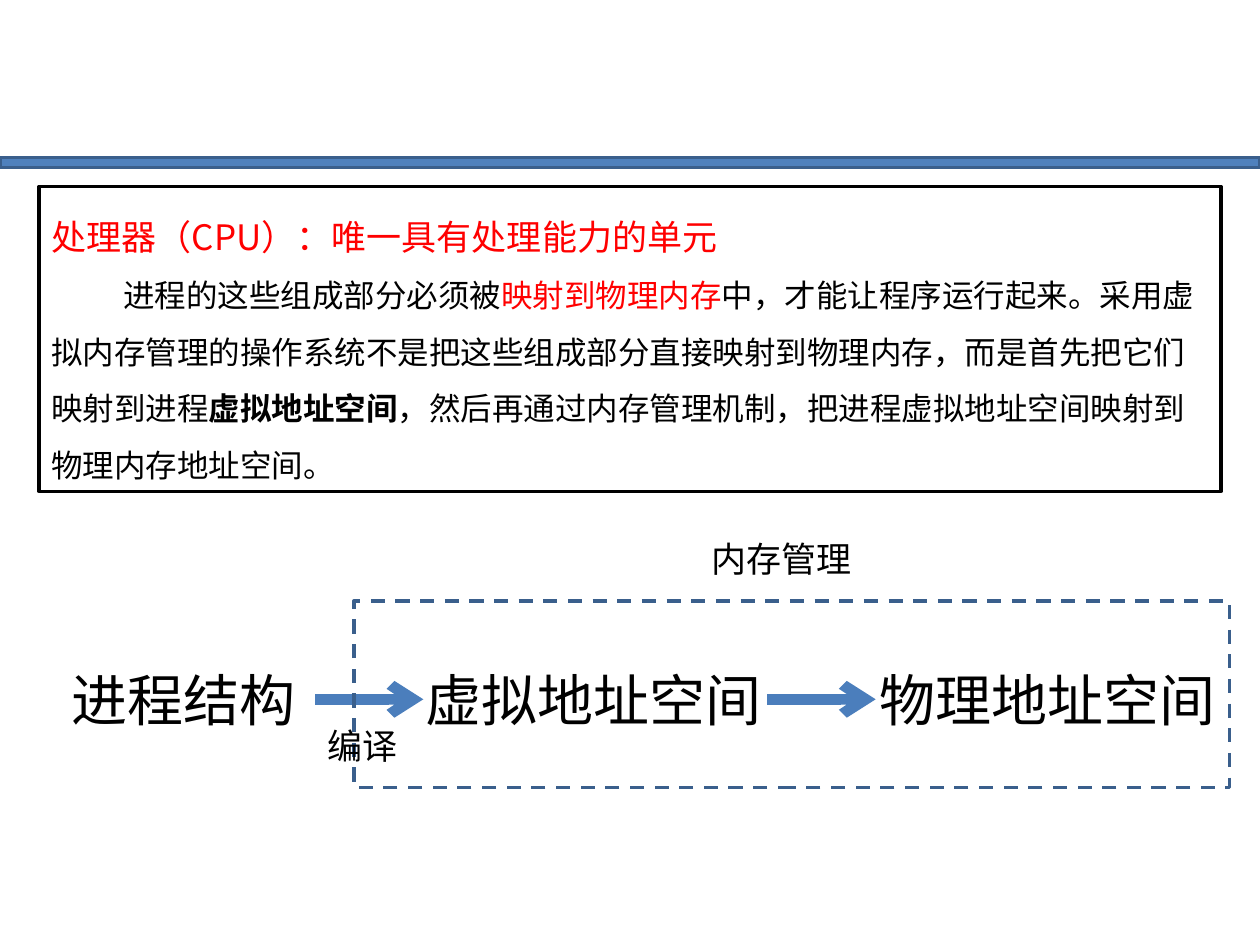
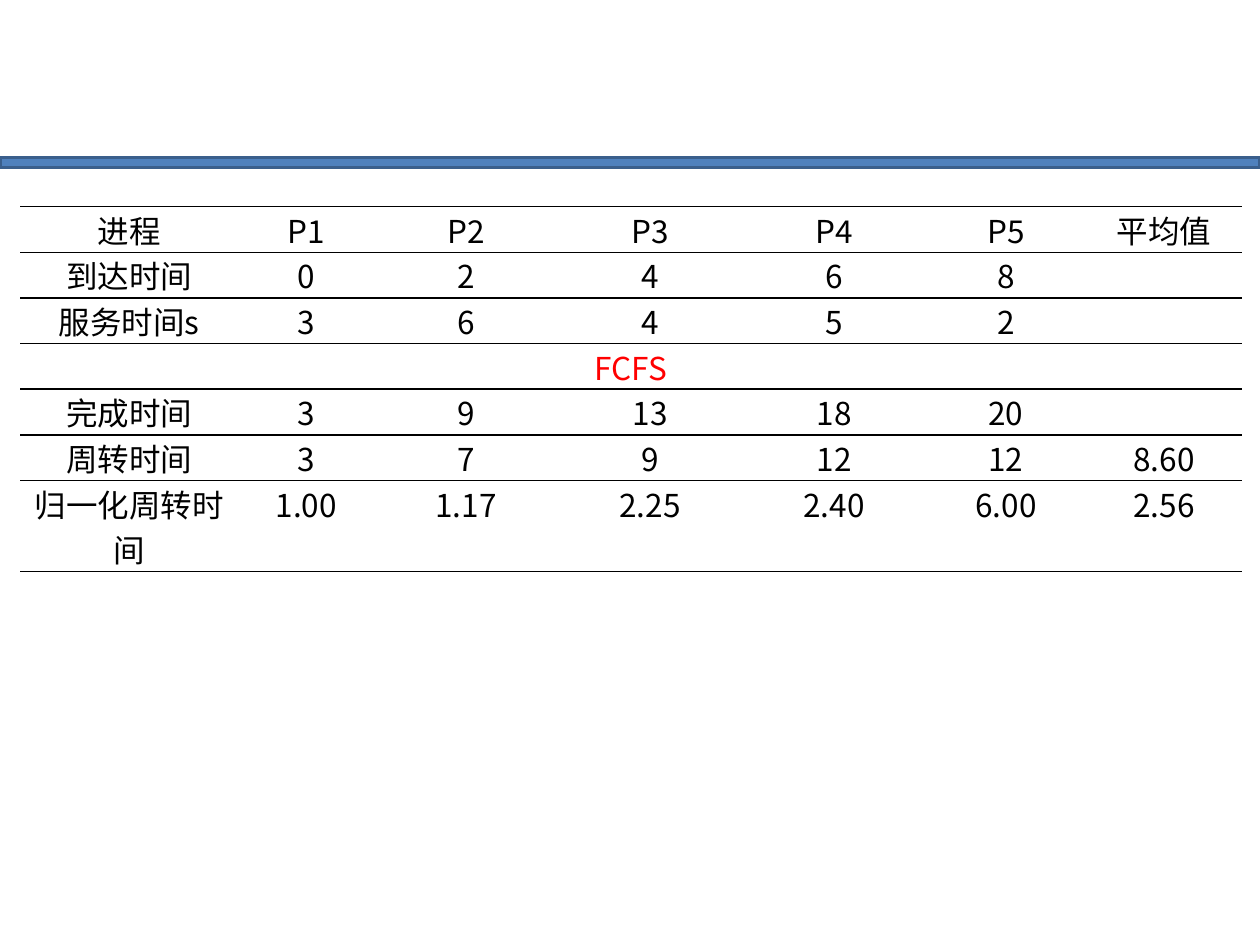
from typing import NamedTuple

from pptx import Presentation
from pptx.dml.color import RGBColor
from pptx.enum.dml import MSO_LINE
from pptx.enum.shapes import MSO_CONNECTOR, MSO_SHAPE
from pptx.enum.text import MSO_ANCHOR, MSO_AUTO_SIZE, PP_ALIGN
from pptx.oxml.xmlchemy import OxmlElement
from pptx.shapes.autoshape import Shape
from pptx.slide import Slide
from pptx.table import _Cell
from pptx.text.text import _Paragraph
from pptx.util import Inches, Pt

BLUE = RGBColor(0x4F, 0x81, 0xBD)
DARK_BLUE = RGBColor(0x3A, 0x5F, 0x8C)
ARROW_BLUE = RGBColor(0x4B, 0x7E, 0xBC)
RED = RGBColor(0xFF, 0x00, 0x00)
BLACK = RGBColor(0x00, 0x00, 0x00)
WHITE = RGBColor(0xFF, 0xFF, 0xFF)
FONT = "Noto Sans CJK SC"

RECTANGLE = MSO_SHAPE.RECTANGLE
STRAIGHT = MSO_CONNECTOR.STRAIGHT
DASH = MSO_LINE.DASH
MIDDLE = MSO_ANCHOR.MIDDLE
GROW = MSO_AUTO_SIZE.SHAPE_TO_FIT_TEXT
LEFT = PP_ALIGN.LEFT
CENTER = PP_ALIGN.CENTER
BLANK_LAYOUT = 6


class Area(NamedTuple):
    left: float
    top: float
    width: float
    height: float


class Label(NamedTuple):
    text: str
    area: Area
    size: int


class Span(NamedTuple):
    text: str
    color: RGBColor = BLACK
    bold: bool = False


class Arrow(NamedTuple):
    start: float
    end: float
    top: float


LABELS = [
    Label("进程结构", Area(0.47, 5.23, 2, 0.64), 32),
    Label("虚拟地址空间", Area(3.28, 5.23, 2.89, 0.64), 32),
    Label("物理地址空间", Area(6.88, 5.23, 2.89, 0.64), 32),
    Label("内存管理", Area(5.55, 4.22, 1.32, 0.44), 20),
    Label("编译", Area(2.5, 5.7, 0.76, 0.44), 20),
]
ARROWS = [Arrow(2.5, 3.36, 5.55), Arrow(6.09, 6.95, 5.55)]

HEADLINE = [Span("处理器（CPU）：唯一具有处理能力的单元", RED)]
EXPLANATION = [
    Span("进程的这些组成部分必须被"),
    Span("映射到物理内存", RED),
    Span("中，才能让程序运行起来。采用虚拟内存管理的操作系统不是把这些组成部分"
         "直接映射到物理内存，而是首先把它们映射到进程"),
    Span("虚拟地址空间", bold=True),
    Span("，然后再通过内存管理机制，把进程虚拟地址空间映射到物理内存地址空间。"),
]

SCHEDULE = [
    ["进程", "P1", "P2", "P3", "P4", "P5", "平均值"],
    ["到达时间", "0", "2", "4", "6", "8", ""],
    ["服务时间s", "3", "6", "4", "5", "2", ""],
    ["FCFS"],
    ["完成时间", "3", "9", "13", "18", "20", ""],
    ["周转时间", "3", "7", "9", "12", "12", "8.60"],
    ["归一化周转时间", "1.00", "1.17", "2.25", "2.40", "6.00", "2.56"],
]
COLUMN_WIDTHS = [1.73, 1.08, 1.46, 1.46, 1.46, 1.27, 1.24]
ROW_HEIGHT = 0.36


def inches(area: Area) -> list[Inches]:
    return [Inches(length) for length in area]


def set_font(para: _Paragraph, size: int, color: RGBColor | None = BLACK) -> None:
    font = para.font
    font.name = FONT
    font.size = Pt(size)
    east_asian = OxmlElement("a:ea")
    east_asian.set("typeface", FONT)
    font._element.append(east_asian)
    if color is not None:
        font.color.rgb = color


def add_rectangle(page: Slide, area: Area, fill: RGBColor | None, line: RGBColor) -> Shape:
    box = page.shapes.add_shape(RECTANGLE, *inches(area))
    box.shadow.inherit = False
    if fill is None:
        box.fill.background()
    else:
        box.fill.solid()
        box.fill.fore_color.rgb = fill
    box.line.color.rgb = line
    box.line.width = Pt(2)
    return box


def add_page(deck: Presentation) -> Slide:
    page = deck.slides.add_slide(deck.slide_layouts[BLANK_LAYOUT])
    add_rectangle(page, Area(0, 1.25, 10, 0.08), BLUE, DARK_BLUE)
    return page


def write_spans(para: _Paragraph, spans: list[Span], size: int) -> None:
    para.alignment = LEFT
    para.line_spacing = 1.5
    set_font(para, size, None)
    for span in spans:
        run = para.add_run()
        run.text = span.text
        run.font.color.rgb = span.color
        run.font.bold = span.bold


def add_explanation(page: Slide) -> None:
    box = add_rectangle(page, Area(0.31, 1.48, 9.38, 2.42), WHITE, BLACK)
    frame = box.text_frame
    frame.word_wrap = True
    frame.auto_size = GROW
    frame.vertical_anchor = MIDDLE
    write_spans(frame.paragraphs[0], HEADLINE, 20)
    body = frame.add_paragraph()
    body._p.get_or_add_pPr().set("indent", str(Inches(0.57)))
    write_spans(body, EXPLANATION, 18)


def add_label(page: Slide, label: Label) -> None:
    frame = page.shapes.add_textbox(*inches(label.area)).text_frame
    frame.word_wrap = False
    frame.auto_size = GROW
    para = frame.paragraphs[0]
    para.text = label.text
    set_font(para, label.size)


def add_arrow(page: Slide, arrow: Arrow) -> None:
    top = Inches(arrow.top)
    connector = page.shapes.add_connector(
        STRAIGHT, Inches(arrow.start), top, Inches(arrow.end), top)
    connector.line.color.rgb = ARROW_BLUE
    connector.line.width = Pt(6)
    head = OxmlElement("a:tailEnd")
    head.set("type", "arrow")
    connector.line._get_or_add_ln().append(head)
    connector._element.spPr.append(OxmlElement("a:effectLst"))


def set_borders(cell: _Cell) -> None:
    properties = cell._tc.get_or_add_tcPr()
    for side in ("lnL", "lnR"):
        border = OxmlElement(f"a:{side}")
        border.append(OxmlElement("a:noFill"))
        properties.append(border)
    for side in ("lnT", "lnB"):
        border = OxmlElement(f"a:{side}")
        border.set("w", str(Pt(1)))
        fill = OxmlElement("a:solidFill")
        color = OxmlElement("a:srgbClr")
        color.set("val", str(BLACK))
        fill.append(color)
        border.append(fill)
        properties.append(border)


def format_cell(cell: _Cell, text: str, color: RGBColor) -> None:
    cell.margin_left = cell.margin_right = Inches(0.07)
    cell.margin_top = cell.margin_bottom = Inches(0)
    set_borders(cell)
    cell.fill.background()
    para = cell.text_frame.paragraphs[0]
    para.text = text
    para.alignment = CENTER
    set_font(para, 18, color)


def add_schedule(page: Slide) -> None:
    row_count, column_count = len(SCHEDULE), len(COLUMN_WIDTHS)
    area = Area(0.16, 1.64, sum(COLUMN_WIDTHS), ROW_HEIGHT * row_count)
    table = page.shapes.add_table(row_count, column_count, *inches(area)).table
    table.first_row = False
    table.horz_banding = False
    for column, width in zip(table.columns, COLUMN_WIDTHS):
        column.width = Inches(width)
    for row_index, texts in enumerate(SCHEDULE):
        table.rows[row_index].height = Inches(ROW_HEIGHT)
        is_section = len(texts) == 1
        padded = texts + [""] * (column_count - len(texts))
        for column_index, text in enumerate(padded):
            format_cell(table.cell(row_index, column_index), text,
                        RED if is_section else BLACK)
        if is_section:
            table.cell(row_index, 0).merge(table.cell(row_index, column_count - 1))


def build_mapping_page(deck: Presentation) -> None:
    page = add_page(deck)
    add_explanation(page)
    for arrow in ARROWS:
        add_arrow(page, arrow)
    memory_frame = add_rectangle(page, Area(2.81, 4.77, 6.95, 1.48), None, DARK_BLUE)
    memory_frame.line.dash_style = DASH
    for label in LABELS:
        add_label(page, label)


def build_schedule_page(deck: Presentation) -> None:
    add_schedule(add_page(deck))


def main() -> None:
    deck = Presentation()
    deck.slide_width = Inches(10)
    deck.slide_height = Inches(7.5)
    build_mapping_page(deck)
    build_schedule_page(deck)
    deck.save("out.pptx")


if __name__ == "__main__":
    main()
